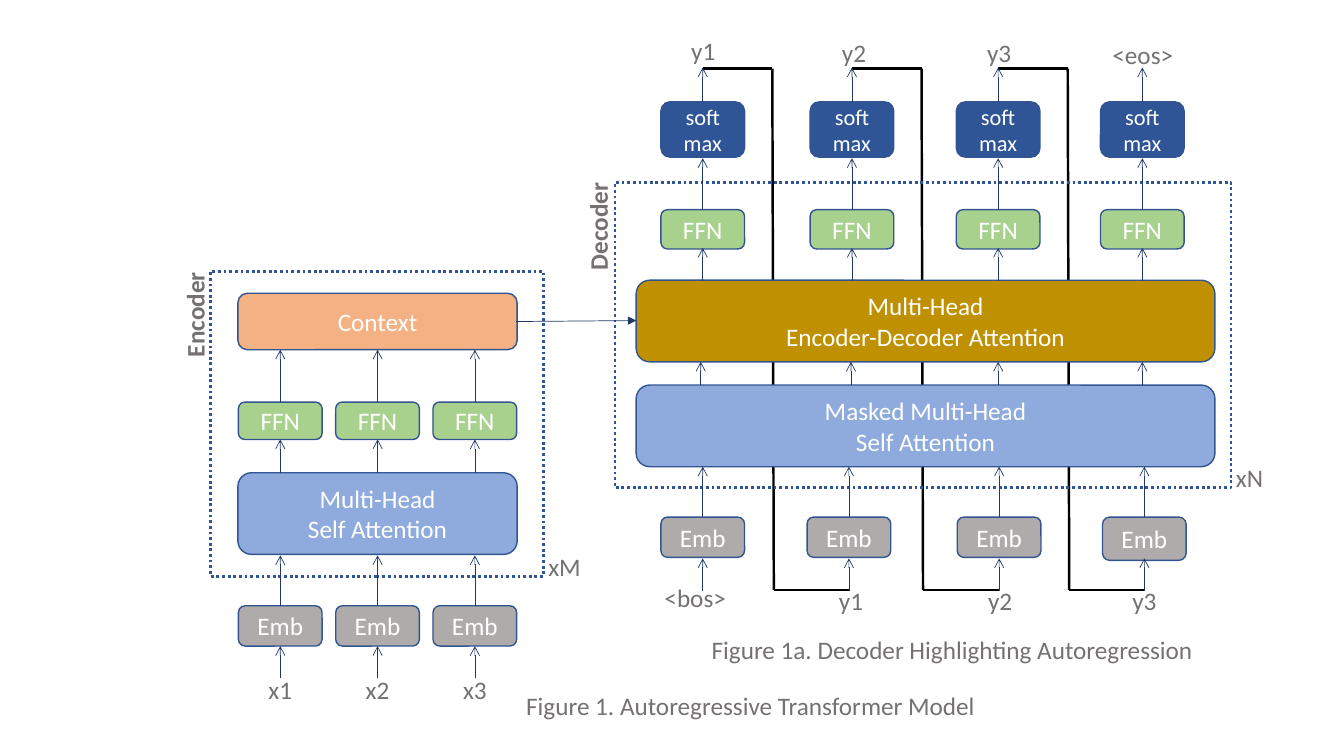
from dataclasses import dataclass

from lxml.etree import SubElement
from pptx import Presentation
from pptx.dml.color import RGBColor
from pptx.enum.dml import MSO_LINE
from pptx.enum.shapes import MSO_CONNECTOR, MSO_SHAPE
from pptx.enum.text import MSO_ANCHOR as ANCHOR, PP_ALIGN as ALIGN
from pptx.oxml.ns import qn
from pptx.util import Inches, Pt

FONT = "Calibri"
WHITE, BLACK, GRAY = "FFFFFF", "000000", "767171"
NAVY, OUTLINE, ROYAL = "203864", "325491", "2F5597"
GREEN, SILVER, BLUE = "A9D18E", "AFABAB", "8FAADC"
ORANGE, GOLD = "F4B183", "BF9000"

BOX_W = 0.83
LABEL_H = 0.4
ENCODER_COLS = tuple(2.78 + 0.965 * i for i in range(3))
TOP_COLS = (6.97, 8.45, 9.9, 11.33)
MID_COLS = (6.95, 8.44, 9.9, 11.33)
BOTTOM_COLS = (6.97, 8.42, 9.91, 11.35)
LOOP_COLS = (7.66, 9.14, 10.59)
LOOP_TOP, LOOP_BOTTOM, LOOP_SLANT = 0.68, 5.855, 0.015


@dataclass(frozen=True)
class Block:
    text: str
    left: float
    top: float
    width: float
    height: float
    fill: str
    size: int = 18


@dataclass(frozen=True)
class BlockRow:
    text: str
    cols: tuple[float, ...]
    top: float
    height: float
    fill: str
    size: int = 18


@dataclass(frozen=True)
class ArrowRow:
    cols: tuple[float, ...]
    start: float
    end: float


@dataclass(frozen=True)
class Label:
    text: str
    left: float
    top: float
    width: float
    align: ALIGN = ALIGN.LEFT
    bold: bool = False
    rotation: int = 0


@dataclass(frozen=True)
class Frame:
    left: float
    top: float
    width: float
    height: float


BLOCK_ROWS = (
    BlockRow("soft\nmax", TOP_COLS, 1.01, 0.55, ROYAL, 16),
    BlockRow("FFN", TOP_COLS, 2.08, 0.39, GREEN),
    BlockRow("Emb", BOTTOM_COLS[:3], 5.13, 0.4, SILVER),
    BlockRow("Emb", BOTTOM_COLS[3:], 5.13, 0.43, SILVER),
    BlockRow("FFN", ENCODER_COLS, 3.99, 0.37, GREEN),
    BlockRow("Emb", ENCODER_COLS, 6.01, 0.4, SILVER),
)
BLOCKS = (
    Block("Multi-Head\nEncoder-Decoder Attention", 6.31, 2.78, 5.74, 0.81, GOLD),
    Block("Masked Multi-Head\nSelf Attention", 6.31, 3.82, 5.74, 0.81, BLUE),
    Block("Context", 2.36, 2.91, 2.77, 0.56, ORANGE),
    Block("Multi-Head\nSelf Attention", 2.36, 4.69, 2.77, 0.81, BLUE),
)
FRAMES = (Frame(6.1, 1.81, 6.11, 3.03), Frame(2.09, 2.69, 3.3, 3.03))
ARROW_ROWS = (
    ArrowRow(TOP_COLS, 1.01, 0.67),
    ArrowRow(TOP_COLS, 2.08, 1.57),
    ArrowRow(TOP_COLS, 2.79, 2.46),
    ArrowRow(MID_COLS, 3.82, 3.59),
    ArrowRow(BOTTOM_COLS, 5.13, 4.63),
    ArrowRow(BOTTOM_COLS, 5.86, 5.54),
    ArrowRow(ENCODER_COLS, 3.99, 3.47),
    ArrowRow(ENCODER_COLS, 4.69, 4.36),
    ArrowRow(ENCODER_COLS, 6.01, 5.51),
    ArrowRow(ENCODER_COLS, 6.73, 6.41),
)
LABELS = (
    Label("Decoder", 5.38, 2.03, 1.1, bold=True, rotation=270),
    Label("Encoder", 1.4, 2.91, 1.06, bold=True, rotation=270),
    Label("xN", 12.16, 4.54, 0.54),
    Label("xM", 5.34, 5.42, 0.54),
    Label("y1", 6.53, 0.3, 0.89, ALIGN.CENTER),
    Label("y2", 8.2, 0.32, 0.54, ALIGN.CENTER),
    Label("y3", 9.64, 0.32, 0.54, ALIGN.CENTER),
    Label("<eos>", 10.72, 0.34, 1.23, ALIGN.CENTER),
    Label("<bos>", 6.45, 5.73, 0.89, ALIGN.CENTER),
    Label("y1", 8.17, 5.76, 0.54, ALIGN.CENTER),
    Label("y2", 9.65, 5.76, 0.54, ALIGN.CENTER),
    Label("y3", 11.08, 5.76, 0.54, ALIGN.CENTER),
    *(Label(f"x{i}", x - 0.27, 6.64, 0.54, ALIGN.CENTER)
      for i, x in enumerate(ENCODER_COLS, 1)),
    Label("Figure 1a. Decoder Highlighting Autoregression", 6.96, 6.24, 5.13),
    Label("Figure 1. Autoregressive Transformer Model", 5.12, 6.8, 4.98),
)

prs = Presentation()
prs.slide_width, prs.slide_height = Inches(13.33), Inches(7.5)
s = prs.slides.add_slide(prs.slide_layouts[6])


def rgb(color: str) -> RGBColor:
    return RGBColor.from_string(color)


def write(tf, text: str, size: int, color: str, align: ALIGN, bold: bool = False) -> None:
    tf.word_wrap = True
    tf.text = text
    for p in tf.paragraphs:
        p.alignment = align
        for r in p.runs:
            r.font.name, r.font.size, r.font.bold = FONT, Pt(size), bold
            r.font.color.rgb = rgb(color)


def draw_line(x1: float, y1: float, x2: float, y2: float,
              color: str = BLACK, width: float = 1.75, head: str = "") -> None:
    c = s.shapes.add_connector(MSO_CONNECTOR.STRAIGHT, *map(Inches, (x1, y1, x2, y2)))
    c.line.color.rgb = rgb(color)
    c.line.width = Pt(width)
    sp_pr = c._element.spPr
    if head:
        SubElement(sp_pr.find(qn("a:ln")), qn("a:tailEnd"), type=head)
    SubElement(sp_pr, qn("a:effectLst"))


def draw_block(b: Block) -> None:
    sp = s.shapes.add_shape(MSO_SHAPE.ROUNDED_RECTANGLE,
                            *map(Inches, (b.left, b.top, b.width, b.height)))
    sp.shadow.inherit = False
    sp.fill.solid()
    sp.fill.fore_color.rgb = rgb(b.fill)
    sp.line.color.rgb = rgb(OUTLINE)
    sp.line.width = Pt(1)
    sp.text_frame.vertical_anchor = ANCHOR.MIDDLE
    write(sp.text_frame, b.text, b.size, WHITE, ALIGN.CENTER)


def draw_block_row(row: BlockRow) -> None:
    for x in row.cols:
        draw_block(Block(row.text, x - BOX_W / 2, row.top, BOX_W, row.height,
                         row.fill, row.size))


def draw_frame(f: Frame) -> None:
    sp = s.shapes.add_shape(MSO_SHAPE.RECTANGLE,
                            *map(Inches, (f.left, f.top, f.width, f.height)))
    sp.shadow.inherit = False
    sp.fill.background()
    sp.line.color.rgb = rgb(ROYAL)
    sp.line.width = Pt(2)
    sp.line.dash_style = MSO_LINE.ROUND_DOT


def draw_label(l: Label) -> None:
    sp = s.shapes.add_textbox(*map(Inches, (l.left, l.top, l.width, LABEL_H)))
    sp.rotation = l.rotation
    write(sp.text_frame, l.text, 18, GRAY, l.align, l.bold)


for output_x, loop_x, input_x in zip(TOP_COLS, LOOP_COLS, BOTTOM_COLS[1:]):
    foot_x = loop_x + LOOP_SLANT
    draw_line(loop_x, LOOP_TOP, foot_x, LOOP_BOTTOM)
    draw_line(output_x, LOOP_TOP, loop_x, LOOP_TOP)
    draw_line(foot_x, LOOP_BOTTOM, input_x, LOOP_BOTTOM)
for block_row in BLOCK_ROWS:
    draw_block_row(block_row)
for block in BLOCKS:
    draw_block(block)
for frame in FRAMES:
    draw_frame(frame)
for arrows in ARROW_ROWS:
    for col in arrows.cols:
        draw_line(col, arrows.start, col, arrows.end, NAVY, 0.5, "arrow")
draw_line(5.12, 3.19, 6.31, 3.18, NAVY, 0.5, "triangle")
for label in LABELS:
    draw_label(label)

prs.save("out.pptx")
